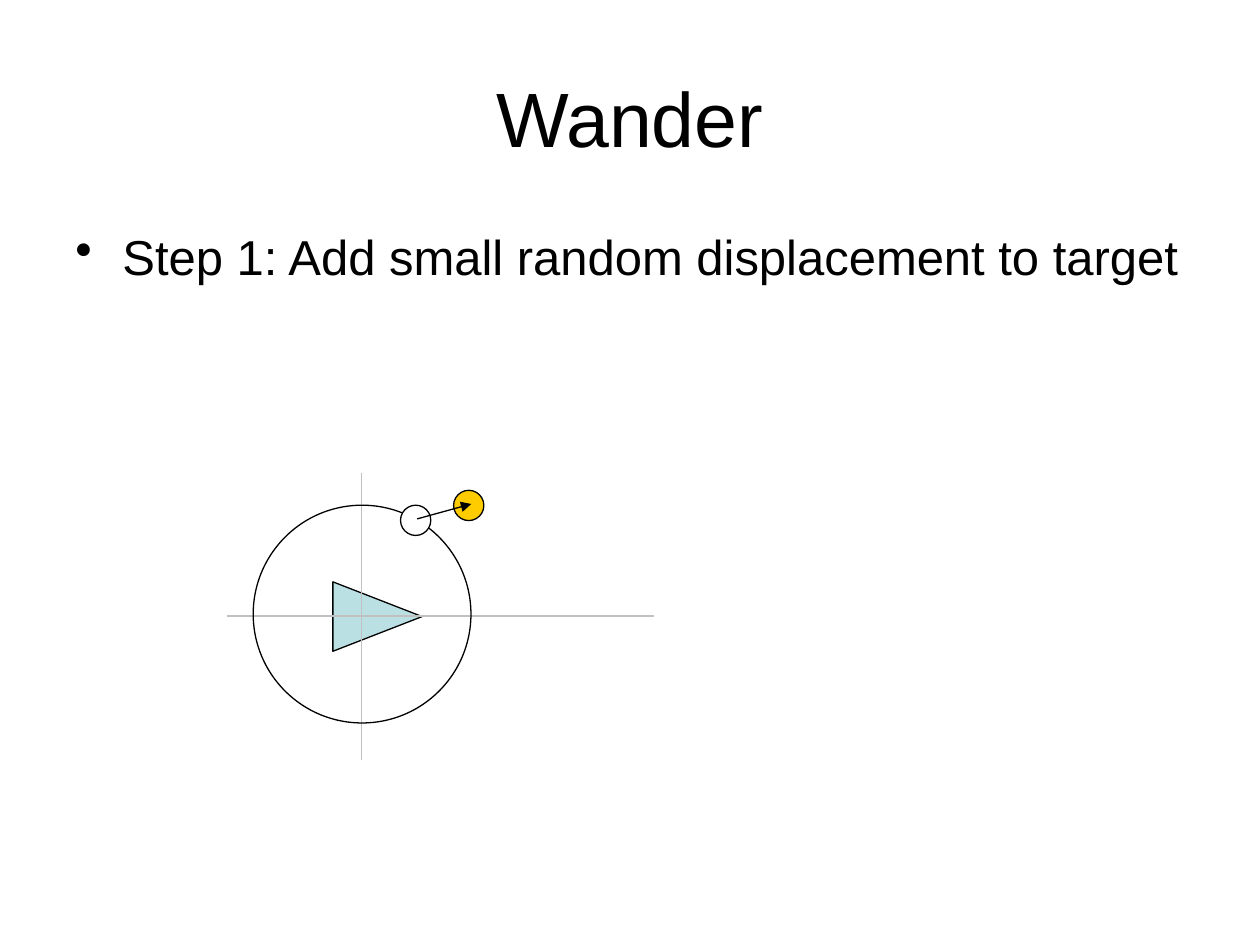
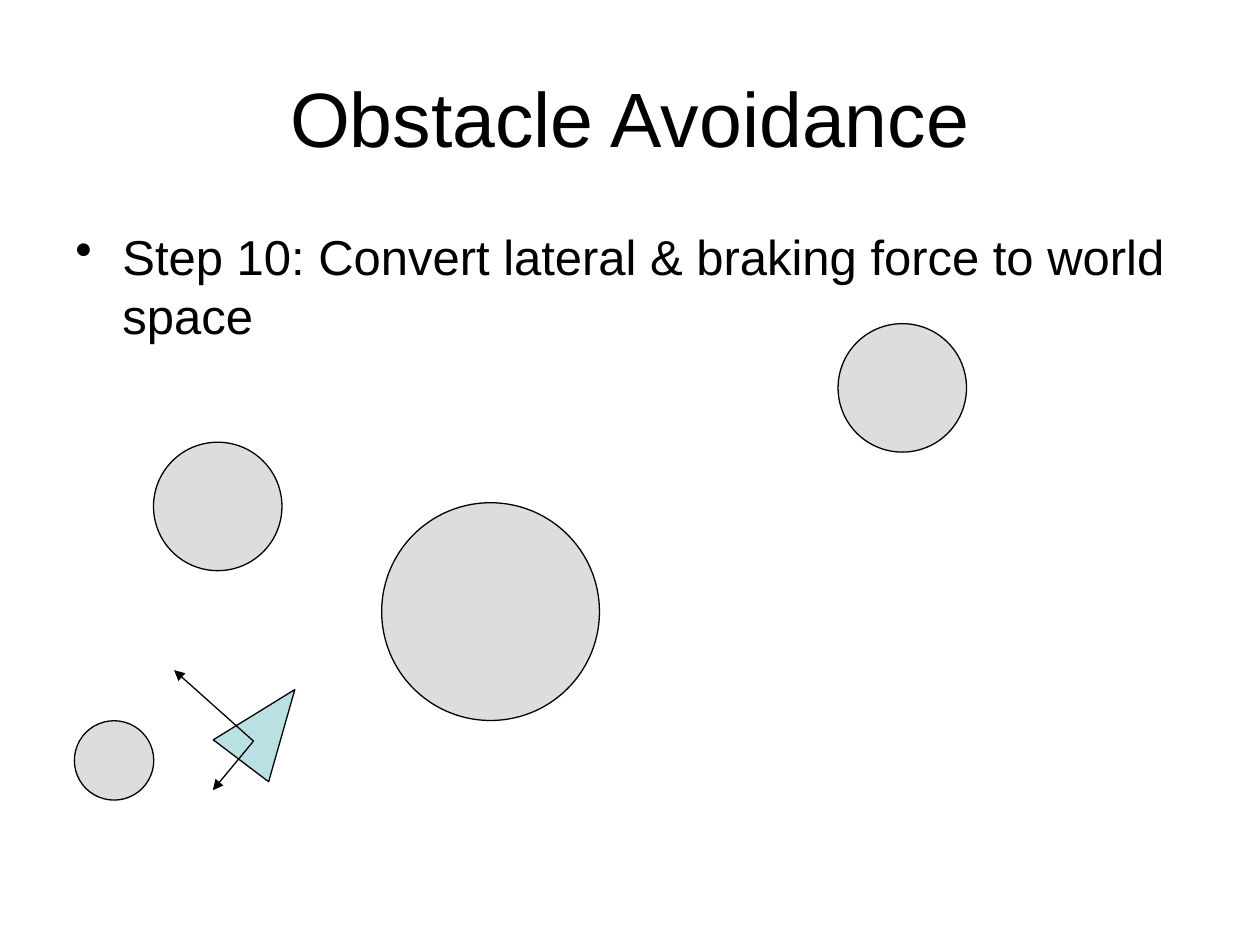
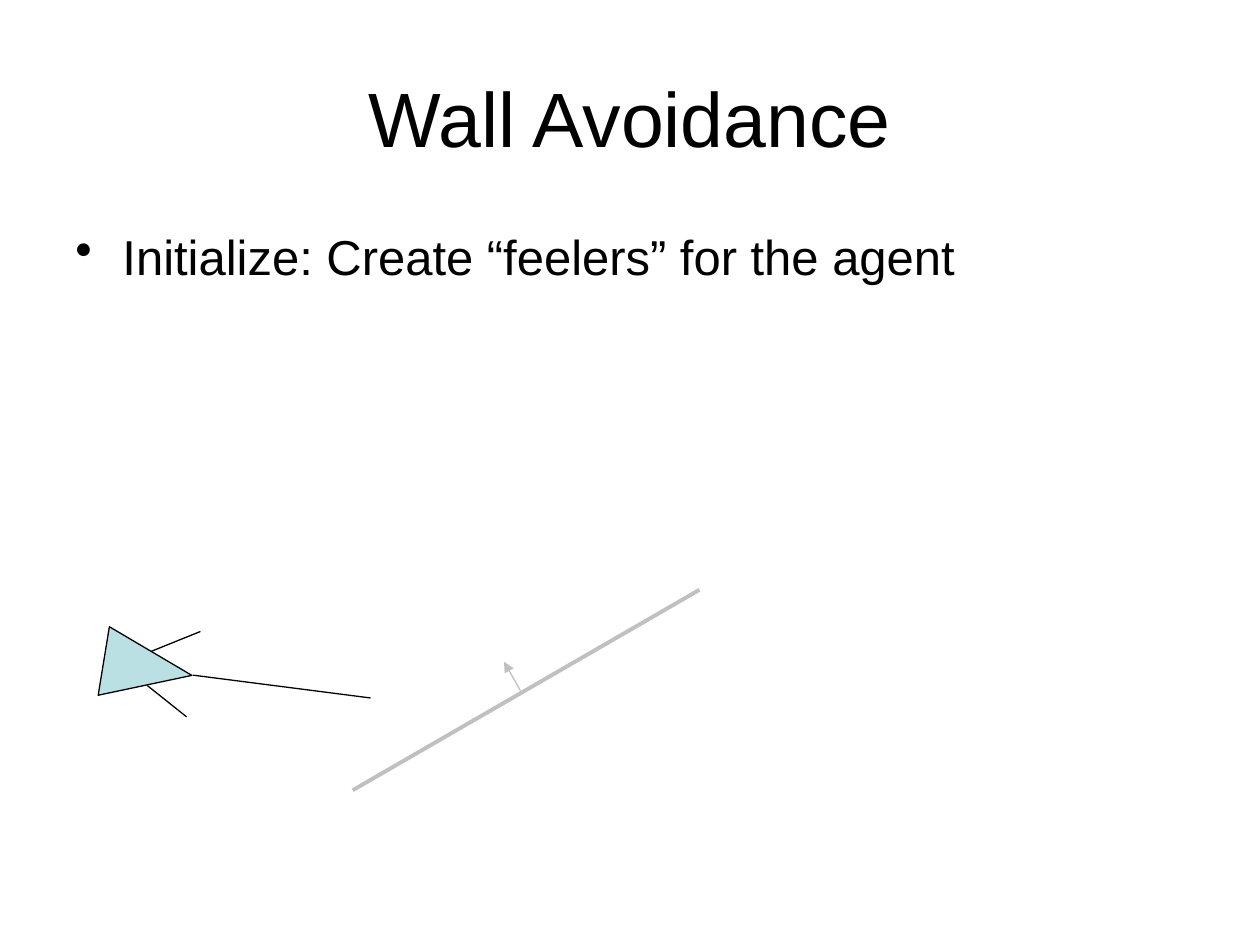
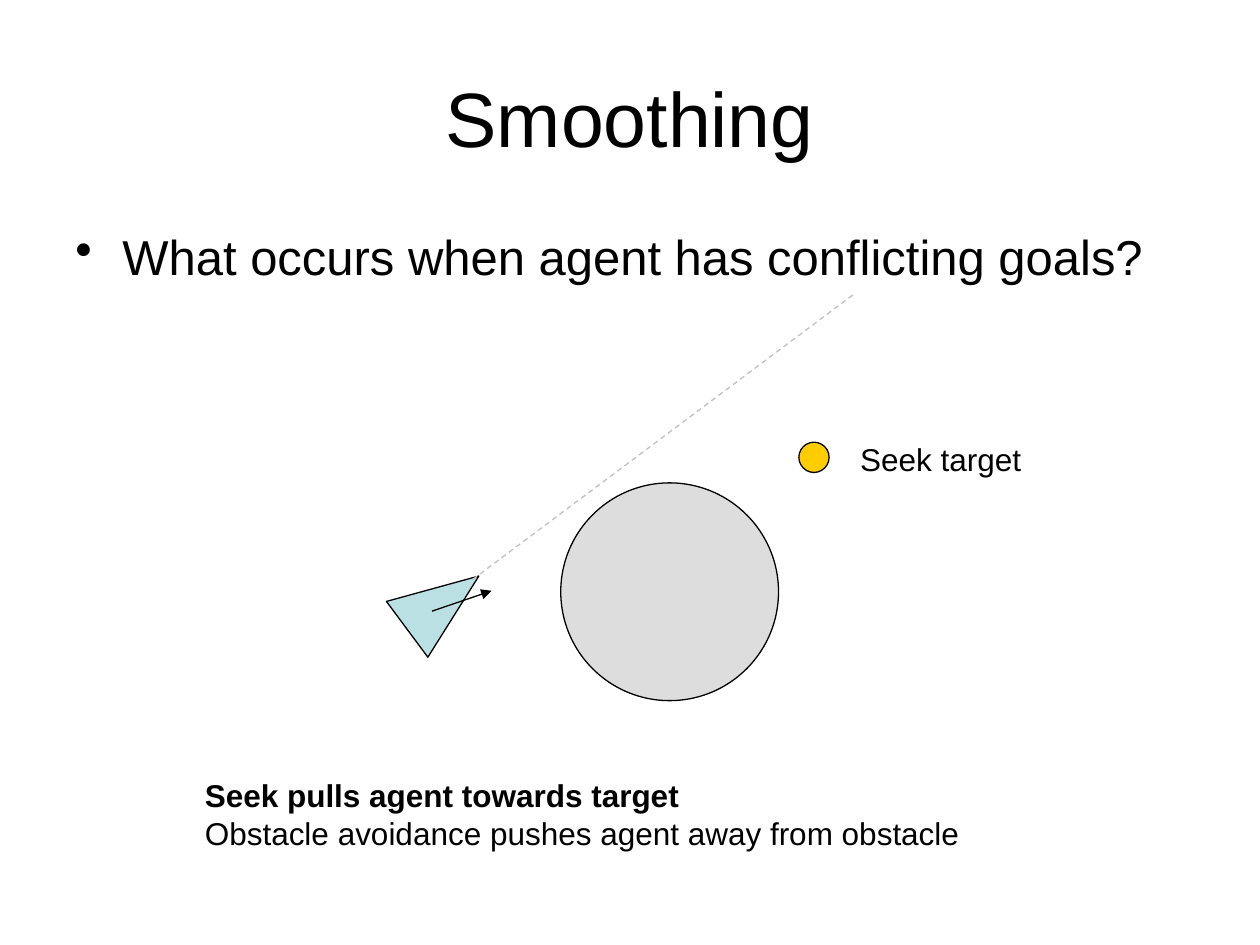
from dataclasses import dataclass
from typing import Optional, Union

from lxml import etree
from pptx import Presentation
from pptx.dml.color import RGBColor
from pptx.enum.dml import MSO_LINE
from pptx.enum.shapes import MSO_CONNECTOR, MSO_SHAPE
from pptx.enum.text import MSO_ANCHOR, MSO_AUTO_SIZE, PP_ALIGN
from pptx.oxml.ns import qn
from pptx.util import Cm, Pt

TRIANGLE, OVAL = MSO_SHAPE.ISOSCELES_TRIANGLE, MSO_SHAPE.OVAL
STRAIGHT, DASH = MSO_CONNECTOR.STRAIGHT, MSO_LINE.DASH
LEFT, CENTER = PP_ALIGN.LEFT, PP_ALIGN.CENTER
TOP, MIDDLE = MSO_ANCHOR.TOP, MSO_ANCHOR.MIDDLE
FIT_TEXT, NO_FIT = MSO_AUTO_SIZE.SHAPE_TO_FIT_TEXT, MSO_AUTO_SIZE.NONE


@dataclass(frozen=True)
class Theme:
    font: str = "Arial"
    ink: str = "000000"
    paper: str = "FFFFFF"
    guide: str = "C0C0C0"
    agent: str = "BBE0E3"
    obstacle: str = "DDDDDD"
    target: str = "FFCC00"
    title_size: float = 44
    body_size: float = 28
    label_size: float = 18
    thin: float = 0.75
    thick: float = 2.25


THEME = Theme()

# Shared measures, in centimetres
SLIDE_SIZE = (25.4, 19.05)
TITLE_BOX = (1.27, 0.76, 22.86, 3.18)
BODY_BOX = (1.27, 4.45, 22.86, 12.57)
BULLET_INDENT = 0.95
AGENT_SIZE = (1.4, 1.8)
DOT, SMALL, MEDIUM, LARGE = 0.61, 1.6, 2.59, 4.39

Point = tuple[float, float]
Box = tuple[float, float, float, float]


# Elements of a figure
@dataclass(frozen=True)
class Agent:
    center: Point
    heading: float


@dataclass(frozen=True)
class Circle:
    center: Point
    diameter: float
    fill: Optional[str] = THEME.obstacle


@dataclass(frozen=True)
class Line:
    start: Point
    end: Point
    color: str = THEME.ink
    width: float = THEME.thin
    arrow: bool = False
    dashed: bool = False


@dataclass(frozen=True)
class Label:
    lines: tuple[str, ...]
    box: Box
    bold_lines: int = 0


@dataclass(frozen=True)
class Group:
    members: tuple[Union[Agent, Line], ...]


Element = Union[Agent, Circle, Line, Label, Group]


@dataclass(frozen=True)
class Topic:
    title: str
    step: str
    figure: tuple[Element, ...]


TOPICS = (
    Topic("Wander", "Step 1: Add small random displacement to target", (
        Agent((7.61, 12.43), 90),
        Line((7.29, 9.53), (7.29, 15.32), THEME.guide),
        Line((4.57, 12.42), (13.18, 12.42), THEME.guide),
        Circle((7.3, 12.38), LARGE, None),
        Circle((8.38, 10.49), DOT, THEME.paper),
        Circle((9.45, 10.19), DOT, THEME.target),
        Line((8.41, 10.46), (9.5, 10.16), arrow=True),
    )),
    Topic("Obstacle Avoidance", "Step 10: Convert lateral & braking force to world space", (
        Agent((5.4, 14.62), 37.1),
        Circle((9.89, 12.33), LARGE),
        Circle((2.3, 15.33), SMALL),
        Circle((4.39, 10.21), MEDIUM),
        Circle((18.19, 7.82), MEDIUM),
        Line((5.11, 14.94), (4.29, 15.93), arrow=True),
        Line((5.11, 14.94), (3.51, 13.51), arrow=True),
    )),
    Topic("Wall Avoidance", "Initialize: Create “feelers” for the agent", (
        Line((7.11, 15.93), (14.1, 11.89), THEME.guide, THEME.thick),
        Line((10.49, 13.92), (10.16, 13.34), THEME.guide, arrow=True),
        Group((
            Agent((2.98, 13.47), 99.3),
            Line((2.97, 13.82), (3.76, 14.45)),
            Line((4.04, 12.73), (3.05, 13.13)),
            Line((3.89, 13.61), (7.47, 14.07)),
        )),
    )),
    Topic("Smoothing", "What occurs when agent has conflicting goals?", (
        Circle((16.41, 9.22), DOT, THEME.target),
        Circle((13.5, 11.93), LARGE),
        Label(("Seek target",), (17.09, 8.74, 3.99, 1.02)),
        Group((
            Agent((8.93, 12.15), 53.4),
            Line((9.53, 11.68), (17.2, 5.94), THEME.guide, dashed=True),
        )),
        Label(("Seek pulls agent towards target",
               "Obstacle avoidance pushes agent away from obstacle"),
              (3.88, 15.52, 18.39, 1.78), bold_lines=1),
        Line((8.71, 12.32), (9.91, 11.91), arrow=True),
    )),
)


def rgb(color: str) -> RGBColor:
    return RGBColor.from_string(color)


def add_text(shapes, lines: tuple[str, ...], box: Box, *, size: float, align=LEFT,
             anchor=TOP, fit=NO_FIT, bold_lines: int = 0, bullet: bool = False) -> None:
    """Write one paragraph, with a line break between its lines."""
    frame = shapes.add_textbox(*map(Cm, box)).text_frame
    frame.word_wrap = True
    frame.auto_size = fit
    frame.vertical_anchor = anchor
    paragraph = frame.paragraphs[0]
    paragraph.alignment = align
    for number, line in enumerate(lines):
        if number:
            paragraph.add_line_break()
        run = paragraph.add_run()
        run.text = line
        run.font.name = THEME.font
        run.font.size = Pt(size)
        run.font.bold = number < bold_lines
        run.font.color.rgb = rgb(THEME.ink)
    if bullet:
        properties = paragraph._p.get_or_add_pPr()
        properties.set("marL", str(Cm(BULLET_INDENT)))
        properties.set("indent", str(-Cm(BULLET_INDENT)))
        etree.SubElement(properties, qn("a:buChar"), char="•")


def add_outlined(shapes, kind, center: Point, size: Point, fill: Optional[str],
                 rotation: float = 0) -> None:
    (x, y), (width, height) = center, size
    shape = shapes.add_shape(kind, Cm(x - width / 2), Cm(y - height / 2), Cm(width), Cm(height))
    shape.rotation = rotation
    shape.shadow.inherit = False
    if fill is None:
        shape.fill.background()
    else:
        shape.fill.solid()
        shape.fill.fore_color.rgb = rgb(fill)
    shape.line.color.rgb = rgb(THEME.ink)
    shape.line.width = Pt(THEME.thin)


def add_line(shapes, line: Line) -> None:
    connector = shapes.add_connector(STRAIGHT, *map(Cm, line.start + line.end))
    connector.line.color.rgb = rgb(line.color)
    connector.line.width = Pt(line.width)
    if line.dashed:
        connector.line.dash_style = DASH
    if line.arrow:
        outline = connector._element.spPr.find(qn("a:ln"))
        etree.SubElement(outline, qn("a:tailEnd"), type="triangle")
    etree.SubElement(connector._element.spPr, qn("a:effectLst"))


def draw(shapes, element: Element) -> None:
    if isinstance(element, Agent):
        add_outlined(shapes, TRIANGLE, element.center, AGENT_SIZE, THEME.agent, element.heading)
    elif isinstance(element, Circle):
        size = (element.diameter, element.diameter)
        add_outlined(shapes, OVAL, element.center, size, element.fill)
    elif isinstance(element, Line):
        add_line(shapes, element)
    elif isinstance(element, Label):
        add_text(shapes, element.lines, element.box, size=THEME.label_size, fit=FIT_TEXT,
                 bold_lines=element.bold_lines)
    else:
        group_shapes = shapes.add_group_shape().shapes
        for member in element.members:
            draw(group_shapes, member)


def add_topic(deck, topic: Topic) -> None:
    slide = deck.slides.add_slide(deck.slide_layouts[6])
    slide.background.fill.solid()
    slide.background.fill.fore_color.rgb = rgb(THEME.paper)
    add_text(slide.shapes, (topic.title,), TITLE_BOX, size=THEME.title_size,
             align=CENTER, anchor=MIDDLE)
    add_text(slide.shapes, (topic.step,), BODY_BOX, size=THEME.body_size, bullet=True)
    for element in topic.figure:
        draw(slide.shapes, element)


def main() -> None:
    deck = Presentation()
    deck.slide_width, deck.slide_height = map(Cm, SLIDE_SIZE)
    for topic in TOPICS:
        add_topic(deck, topic)
    deck.save("out.pptx")


if __name__ == "__main__":
    main()
